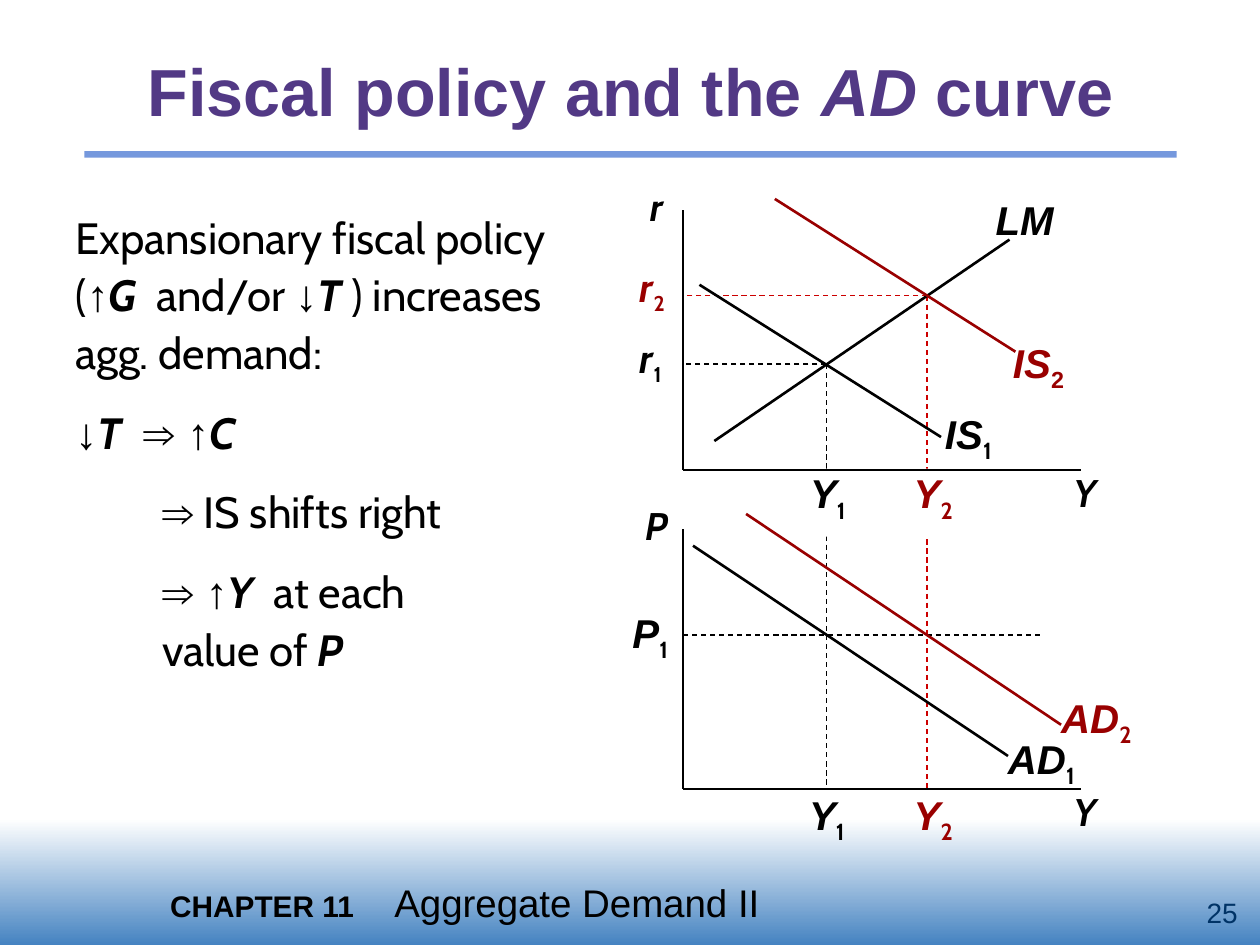
from lxml.etree import SubElement
from pptx import Presentation
from pptx.dml.color import RGBColor
from pptx.enum.dml import MSO_LINE
from pptx.enum.shapes import MSO_CONNECTOR, MSO_SHAPE
from pptx.enum.text import MSO_ANCHOR, PP_ALIGN
from pptx.oxml.ns import qn
from pptx.util import Cm, Pt

color = RGBColor.from_string
BLACK, RED, DASH_RED = "000000", "990000", "CC0000"

deck = Presentation()
deck.slide_width, deck.slide_height = Cm(25.4), Cm(19.05)
page = deck.slides.add_slide(deck.slide_layouts[6])


def draw_line(x1, y1, x2, y2, ink, width, dashed=False):
    line = page.shapes.add_connector(MSO_CONNECTOR.STRAIGHT, Cm(x1), Cm(y1), Cm(x2), Cm(y2))
    line.line.color.rgb = color(ink)
    line.line.width = Pt(width)
    if dashed:
        line.line.dash_style = MSO_LINE.DASH
    SubElement(line._element.spPr, qn("a:effectLst"))


def add_text_box(left, top, width, height, margins=(0, 0)):
    """Add a wrapping text box with (side, top and bottom) margins in cm."""
    box = page.shapes.add_textbox(Cm(left), Cm(top), Cm(width), Cm(height))
    frame = box.text_frame
    frame.word_wrap = True
    frame.margin_left = frame.margin_right = Cm(margins[0])
    frame.margin_top = frame.margin_bottom = Cm(margins[1])
    return box


# Background band and rule under the title
band = page.shapes.add_shape(MSO_SHAPE.RECTANGLE, 0, Cm(16.51), Cm(25.4), Cm(2.54))
band.fill.gradient()
band.fill.gradient_angle = 270
for stop, shade in zip(band.fill.gradient_stops, ("FFFFFF", "4583C1")):
    stop.color.rgb = color(shade)
rule = page.shapes.add_shape(MSO_SHAPE.RECTANGLE, Cm(1.7), Cm(3.05), Cm(22.02), Cm(0.13))
rule.fill.solid()
rule.fill.fore_color.rgb = color("7598DD")
for shape in (band, rule):
    shape.line.fill.background()
    shape.shadow.inherit = False

# Title
title = add_text_box(1.07, 0.64, 23.29, 2.34, (0.25, 0.13))
title.text_frame.vertical_anchor = MSO_ANCHOR.MIDDLE
paragraph = title.text_frame.paragraphs[0]
paragraph.alignment = PP_ALIGN.CENTER
paragraph.font.name, paragraph.font.size, paragraph.font.bold = "Arial", Pt(38), True
paragraph.font.color.rgb = color("523985")
for text, italic in (("Fiscal policy and the ", False), ("AD", True), (" curve", False)):
    span = paragraph.add_run()
    span.text, span.font.italic = text, italic

# Footer and slide number
footer = add_text_box(3.18, 17.58, 21.16, 1.19, (0.25, 0.13))
paragraph = footer.text_frame.paragraphs[0]
tabs = SubElement(paragraph._p.get_or_add_pPr(), qn("a:tabLst"))
SubElement(tabs, qn("a:tab"), pos=str(Cm(4.52)), algn="l")
paragraph.font.name = "Arial"
paragraph.font.color.rgb = color(BLACK)
for text, size, bold in (("CHAPTER 11", 17, True), ("\tAggregate Demand II", 22, False)):
    span = paragraph.add_run()
    span.text, span.font.size, span.font.bold = text, Pt(size), bold

number = add_text_box(22.02, 17.98, 3.18, 0.84, (0.25, 0.13))
number.text_frame.vertical_anchor = MSO_ANCHOR.MIDDLE
paragraph = number.text_frame.paragraphs[0]
paragraph.text = "25"
paragraph.alignment = PP_ALIGN.RIGHT
paragraph.font.name, paragraph.font.size = "Arial", Pt(16)
paragraph.font.color.rgb = color("003366")

# Explanation: (indent, spans), each span as (text, style)
PLAIN, SYMBOL, VARIABLE = ("Cabin", False), ("Arial", False), ("Cabin", True)
explanation = [
    (0, [("Expansionary fiscal policy (", PLAIN), ("↑", SYMBOL), ("G ", VARIABLE),
         (" and/or ", PLAIN), ("↓", SYMBOL), ("T ", VARIABLE),
         (") increases agg. demand:", PLAIN)]),
    (0, [("↓", SYMBOL), ("T ", VARIABLE), (" ⇒ ↑", SYMBOL), ("C", VARIABLE)]),
    (1.75, [("⇒", SYMBOL), (" IS shifts right", PLAIN)]),
    (1.75, [("⇒ ↑", SYMBOL), ("Y ", VARIABLE), (" at each", PLAIN), ("\v", None),
            ("value of ", PLAIN), ("P", VARIABLE)]),
]
body = add_text_box(1.27, 4.01, 10.59, 11, (0.25, 0.13))
body.fill.solid()
body.fill.fore_color.rgb = color("FFFFFF")
for row, (indent, spans) in enumerate(explanation):
    paragraph = body.text_frame.add_paragraph() if row else body.text_frame.paragraphs[0]
    paragraph._p.get_or_add_pPr().set("marL", str(Cm(indent)))
    paragraph.line_spacing = 1.1
    paragraph.space_before = Pt(12.5 if row else 0)
    paragraph.font.size = Pt(25)
    paragraph.font.color.rgb = color(BLACK)
    for text, style in spans:
        if style is None:
            paragraph.add_line_break()
            continue
        span = paragraph.add_run()
        span.text = text
        span.font.name, span.font.bold = style
        span.font.italic = style[1]

# Dashed guides, drawn first so that the white quantity labels cover them
axis_x, axis_end, panel_step = 13.77, 21.79, 6.43
for x, y, ink in ((18.69, 5.96, DASH_RED), (16.66, 7.34, BLACK)):
    draw_line(x, y, x, 15.9, ink, 0.75, dashed=True)
    draw_line(x, y, axis_x, y, ink, 0.75, dashed=True)
draw_line(axis_x, 12.8, 20.96, 12.8, BLACK, 0.75, dashed=True)

# Labels: name, subscript, left, top, width, colour, font, subscript font
labels = [
    ("Y", "2", 18.42, 9.45, 1.07, RED, "Arial", "Cabin"),
    ("Y", "1", 16.33, 9.45, 1.07, BLACK, "Arial", "Cabin"),
    ("Y", "2", 18.42, 15.93, 1.07, RED, "Arial", "Cabin"),
    ("Y", "1", 16.31, 15.93, 1.07, BLACK, "Arial", "Cabin"),
    ("r", "2", 12.9, 5.28, 1.07, RED, "Cabin", "Cabin"),
    ("r", "1", 12.9, 6.71, 1.07, BLACK, "Cabin", "Cabin"),
    ("P", "1", 12.75, 12.27, 1.07, BLACK, "Arial", "Cabin"),
    ("LM", "", 20.07, 3.94, 1.7, BLACK, "Arial", "Arial"),
    ("IS", "1", 19.05, 8.26, 1.47, BLACK, "Arial", "Cabin"),
    ("IS", "2", 20.42, 6.81, 1.47, RED, "Arial", "Arial"),
    ("AD", "1", 20.32, 14.81, 1.9, BLACK, "Arial", "Cabin"),
    ("AD", "2", 21.39, 13.97, 1.9, RED, "Arial", "Cabin"),
]
for name, subscript, left, top, width, ink, font, subscript_font in labels:
    label = add_text_box(left, top, width, 1.12)
    if name == "Y" and top < 10:
        label.height = Cm(1.37)
        label.fill.solid()
        label.fill.fore_color.rgb = color("FFFFFF")
    paragraph = label.text_frame.paragraphs[0]
    paragraph.font.size, paragraph.font.bold = Pt(23), True
    paragraph.font.color.rgb = color(ink)
    span = paragraph.add_run()
    span.text, span.font.name, span.font.italic = name, font, True
    if subscript:
        span = paragraph.add_run()
        span.text, span.font.name, span.font.italic = subscript, subscript_font, False
        span.font.size = Pt(21 if name == "r" else 23)
        span._r.get_or_add_rPr().set("baseline", "-25000")

# Axes and their names for both panels
for panel, vertical_name in enumerate(("r", "P")):
    shift = panel * panel_step
    draw_line(axis_x, 4.24 + shift, axis_x, 9.47 + shift, BLACK, 1)
    draw_line(axis_x, 9.47 + shift, axis_end, 9.47 + shift, BLACK, 1)
    for name, left, top, align in (("Y", 21.64, 9.45, PP_ALIGN.LEFT),
                                   (vertical_name, 12.7, 3.69, PP_ALIGN.CENTER)):
        axis_label = add_text_box(left, top + shift, 1.07, 0.94)
        paragraph = axis_label.text_frame.paragraphs[0]
        paragraph.text, paragraph.alignment = name, align
        paragraph.font.name, paragraph.font.size = "Cabin", Pt(22)
        paragraph.font.bold = paragraph.font.italic = True
        paragraph.font.color.rgb = color(BLACK)

# Curves: IS1, LM, AD1, AD2, IS2
for x1, y1, x2, y2, ink in (
    (14.1, 5.74, 18.97, 8.81, BLACK),
    (14.4, 8.89, 20.35, 4.83, BLACK),
    (13.97, 11, 20.32, 15.24, BLACK),
    (15.04, 10.36, 21.39, 14.61, RED),
    (15.62, 4.01, 20.47, 7.09, RED),
):
    draw_line(x1, y1, x2, y2, ink, 1.5)

deck.save("out.pptx")
